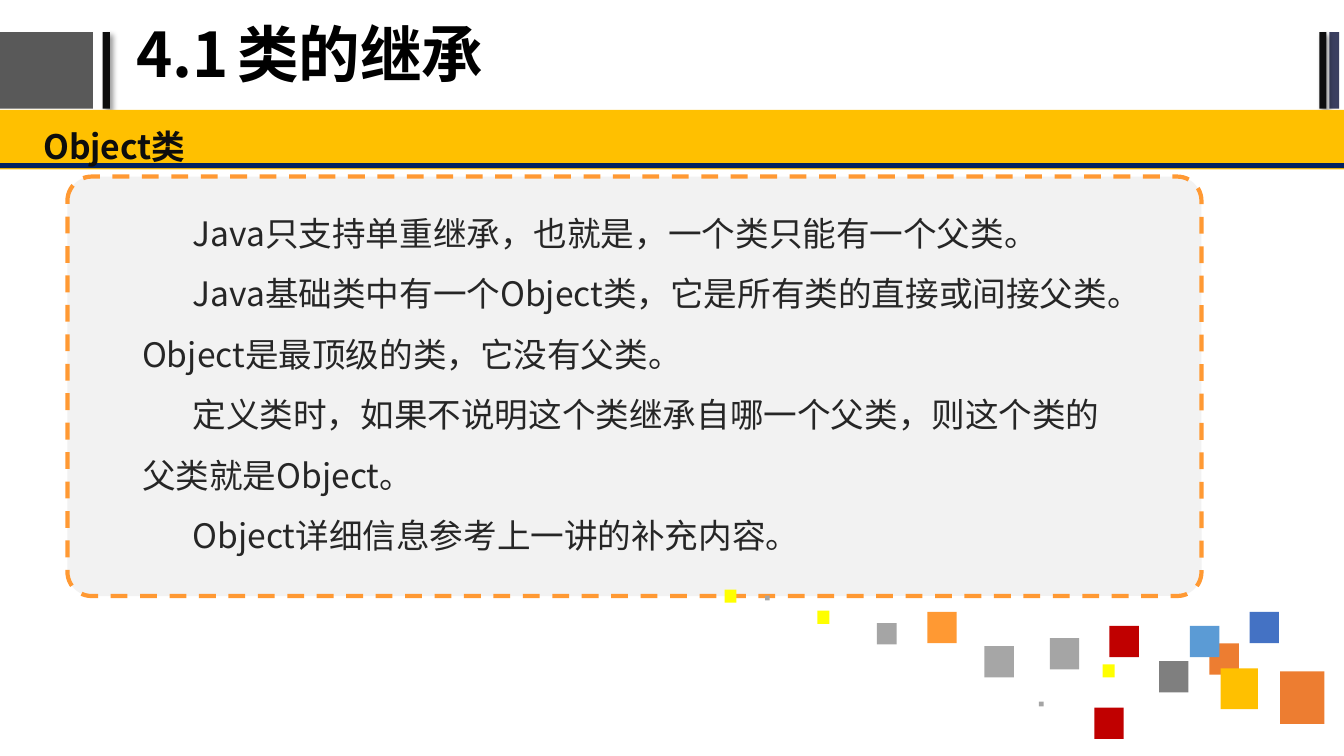
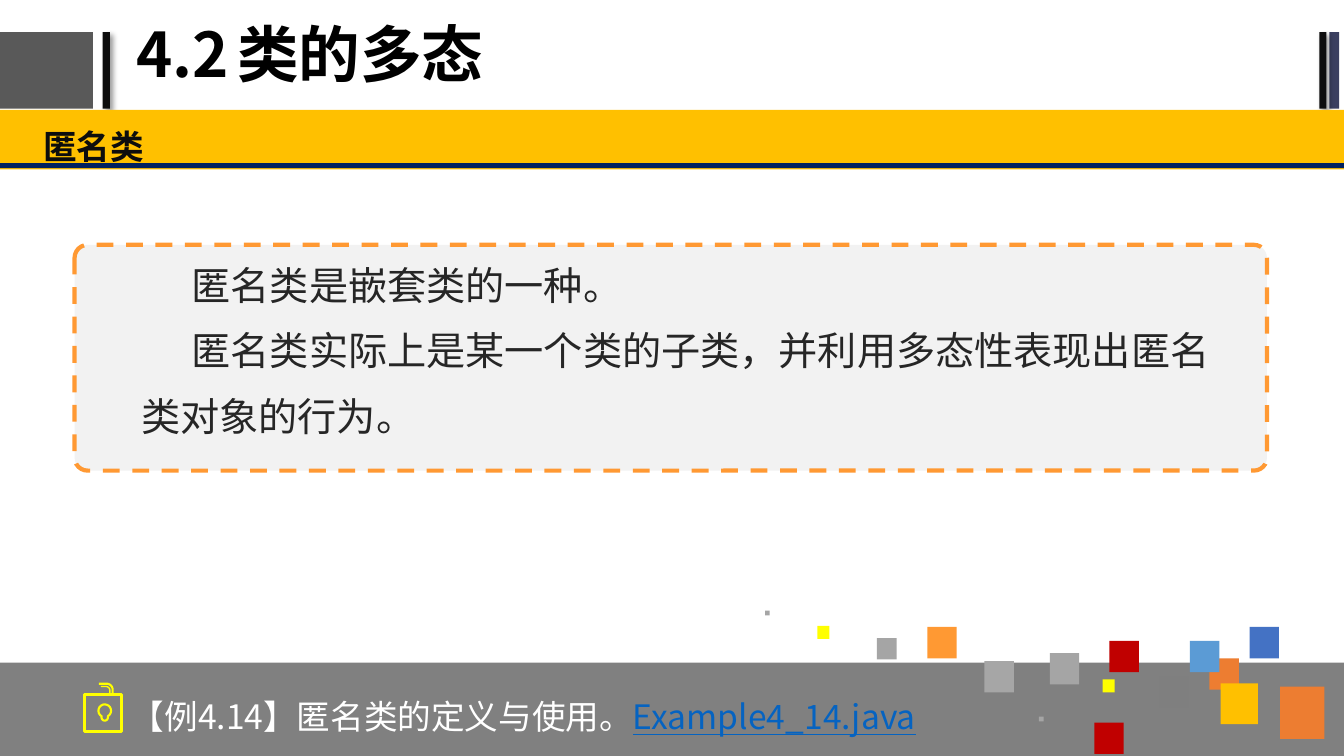
import math

from lxml import etree
from pptx import Presentation
from pptx.dml.color import RGBColor
from pptx.enum import dml, shapes, text
from pptx.oxml import ns
from pptx.util import Cm, Pt

FONT = "Noto Sans CJK SC"
WIDTH, HEIGHT = 33.87, 19.05
COLORS = {
    "black": "000000", "ink": "0D0D0D", "body": "262626", "white": "FFFFFF",
    "block": "595959", "slate": "3B3F60", "band": "FFC000", "navy": "002060",
    "panel": "F2F2F2", "orange": "FF9933", "footer": "808080", "link": "0563C1",
    "rust": "ED7D31", "sky": "5B9BD5", "blue": "4472C4", "yellow": "FFFF00",
    "silver": "A5A5A5", "ash": "A6A6A6", "gray": "7F7F7F", "red": "C00000",
}
SQUARE_SIZES = {
    "xl": (1.12, 1.32), "l": (0.94, 1.03), "m": (0.74, 0.79),
    "s": (0.5, 0.54), "xs": (0.3, 0.33), "dot": (0.12, 0.12),
}
SQUARES = [
    (14, 2.06, "xl", "rust"), (12.22, 1.35, "m", "rust"), (12.5, 1.98, "l", "band"),
    (11.73, 0.91, "m", "sky"), (7.92, 2.82, "dot", "silver"), (13.23, 0.56, "m", "blue"),
    (9.53, 1.88, "xs", "yellow"), (8.2, 1.22, "m", "silver"), (9.7, 0.91, "m", "red"),
    (10.95, 1.8, "m", "gray"), (9.32, 2.97, "m", "red"), (1.02, 0.15, "dot", "silver"),
    (2.34, 0.53, "xs", "yellow"), (3.84, 0.84, "s", "silver"), (5.11, 0.56, "m", "orange"),
    (6.55, 1.42, "m", "ash"),
]
LONE_SQUARE = (0, 0, "xs", "yellow")


def rgb(name):
    return RGBColor.from_string(COLORS[name])


def place(sp, box):
    sp.left, sp.top, sp.width, sp.height = (Cm(v) for v in box)


def add_box(slide, box, color, kind=shapes.MSO_SHAPE.RECTANGLE):
    sp = slide.shapes.add_shape(kind, *(Cm(v) for v in box))
    sp.shadow.inherit = False
    sp.fill.solid()
    sp.fill.fore_color.rgb = rgb(color)
    sp.line.fill.background()
    return sp


def add_shadow(sp):
    effects = sp.element.spPr.find(ns.qn("a:effectLst"))
    shadow = etree.SubElement(effects, ns.qn("a:outerShdw"), blurRad=str(Pt(4)),
                              dist=str(Pt(3)), dir="2700000", algn="tl")
    color = etree.SubElement(shadow, ns.qn("a:srgbClr"), val=COLORS["black"])
    etree.SubElement(color, ns.qn("a:alpha"), val="40000")


def add_run(p, words, size=24, color="body", bold=False, underline=False):
    r = p.add_run()
    r.text = words
    r.font.size = Pt(size)
    r.font.bold = bold
    r.font.underline = underline
    r.font.color.rgb = rgb(color)
    r.font.name = FONT
    etree.SubElement(r._r.get_or_add_rPr(), ns.qn("a:ea"), typeface=FONT)


def write(tf, paragraphs, spacing=1.2, indent=0, tab=None, **style):
    """Fill a frame; each paragraph is a list of (words, extra style) runs."""
    tf.word_wrap = True
    tf.auto_size = text.MSO_AUTO_SIZE.NONE
    for i, runs in enumerate(paragraphs):
        p = tf.add_paragraph() if i else tf.paragraphs[0]
        p.alignment = text.PP_ALIGN.LEFT
        p.line_spacing = spacing
        p.space_before = Pt(0)
        pPr = p._p.get_or_add_pPr()
        pPr.set("marL", "0")
        pPr.set("indent", str(Cm(indent)))
        etree.SubElement(pPr, ns.qn("a:buNone"))
        if tab:
            tabs = etree.SubElement(pPr, ns.qn("a:tabLst"))
            etree.SubElement(tabs, ns.qn("a:tab"), pos=str(Cm(tab)), algn="l")
        for words, extra in runs:
            add_run(p, words, **{**style, **extra})


def set_margins(tf):
    tf.margin_left = tf.margin_right = Cm(0.33)
    tf.margin_top = tf.margin_bottom = Cm(0.18)


def add_label(slide, box, runs, **style):
    tf = slide.shapes.add_textbox(*(Cm(v) for v in box)).text_frame
    set_margins(tf)
    write(tf, [runs], **style)


def decorate_layout(layout, slide):
    """Draw the shared header on a slide, then hand it over to the layout."""
    top, height = 0.81, 1.93
    bars = [(0, 2.34, "block"), (2.59, 0.18, "ink"),
            (33.5, 0.25, "slate"), (33.25, 0.18, "ink")]
    parts = []
    for left, width, color in bars:
        bar = add_box(slide, (left, top, width, height), color)
        if color == "ink":
            add_shadow(bar)
        parts.append(bar)
    parts.append(add_box(slide, (0, 2.77, WIDTH, 1.5), "band"))
    parts.append(add_box(slide, (0, 4.11, WIDTH, 0.13), "navy"))
    for sp in parts:
        layout.shapes.element.append(sp.element)


def add_header(slide, number, title, topic):
    sp = slide.shapes.title
    place(sp, (3.18, 0.05, 21.51, 2.79))
    sp.text_frame.vertical_anchor = text.MSO_ANCHOR.MIDDLE
    write(sp.text_frame, [[(f"{number}\t{title}", {})]], spacing=0.9, tab=3.4,
          size=44, color="black", bold=True)
    add_label(slide, (0.76, 2.79, 33.11, 1.47), [(topic, {})], color="ink", bold=True)


def add_panel(slide, box, text_box, paragraphs, **style):
    panel = add_box(slide, box, "panel", shapes.MSO_SHAPE.ROUNDED_RECTANGLE)
    panel.adjustments[0] = 0.058
    panel.line.color.rgb = rgb("orange")
    panel.line.width = Pt(3)
    panel.line.dash_style = dml.MSO_LINE.DASH
    body = slide.placeholders[1]
    body.element.addprevious(panel.element)
    left, top, width, height = text_box
    place(body, (box[0] + left, box[1] + top, width, height))
    body.text_frame.vertical_anchor = text.MSO_ANCHOR.TOP
    set_margins(body.text_frame)
    write(body.text_frame, [[(words, {})] for words in paragraphs], indent=1.27, **style)


def add_squares(slide, left, top, squares):
    for x, y, size, color in squares:
        add_box(slide, (left + x, top + y, *SQUARE_SIZES[size]), color)


def arc(x, y, radius, start, end, steps=16):
    angles = [math.radians(start + (end - start) * i / steps) for i in range(steps + 1)]
    return [(x + radius * math.cos(a), y + radius * math.sin(a)) for a in angles]


def add_lock(slide, left, top):
    frame = [(0.03, 0.31), (0.95, 0.31), (0.95, 1.24), (0.03, 1.24)]
    outer = [(0.38, 0.03), *arc(0.58, 0.18, 0.15, -90, 0), (0.73, 0.28)]
    inner = [(0.43, 0.1), *arc(0.56, 0.2, 0.1, -90, 0), (0.66, 0.28)]
    bulb = arc(0.53, 0.71, 0.16, 120, 420) + arc(0.53, 0.88, 0.08, 0, 180)
    strokes = [(frame, True, 2), (outer, False, 1.5), (inner, False, 1), (bulb, True, 1.5)]
    for points, closed, width in strokes:
        points = [(Cm(left + x), Cm(top + y)) for x, y in points]
        builder = slide.shapes.build_freeform(*points[0])
        builder.add_line_segments(points[1:], close=closed)
        sp = builder.convert_to_shape()
        sp.shadow.inherit = False
        sp.fill.background()
        sp.line.color.rgb = rgb("yellow")
        sp.line.width = Pt(width)


def add_example(slide, top, caption, file_name):
    add_lock(slide, 2.11, top + 0.5)
    add_label(slide, (2.97, top + 0.45, 28.35, 1.9),
              [(caption, {}), (file_name, {"color": "link", "underline": True})],
              color="white")


def inheritance_slide(slide):
    add_header(slide, "4.1", "类的继承", "Object类")
    add_panel(slide, (1.7, 4.45, 28.58, 10.57), (1.55, 0.22, 25.12, 11), [
        "Java只支持单重继承，也就是，一个类只能有一个父类。",
        "Java基础类中有一个Object类，它是所有类的直接或间接父类。Object是最顶级的类，它没有父类。",
        "定义类时，如果不说明这个类继承自哪一个父类，则这个类的父类就是Object。",
        "Object详细信息参考上一讲的补充内容。",
    ], spacing=1.5)
    add_squares(slide, 18.26, 14.86, SQUARES + [LONE_SQUARE])


def polymorphism_slide(slide):
    footer_top = 16.7
    add_box(slide, (0, footer_top, WIDTH, HEIGHT - footer_top), "footer")
    add_header(slide, "4.2", "类的多态", "匿名类")
    add_panel(slide, (1.88, 6.17, 30.05, 5.69), (1.35, -0.25, 27.89, 5.69), [
        "匿名类是嵌套类的一种。",
        "匿名类实际上是某一个类的子类，并利用多态性表现出匿名类对象的行为。",
    ], spacing=1.4, size=28)
    add_squares(slide, 18.26, 15.24, SQUARES)
    add_example(slide, footer_top, "【例4.14】匿名类的定义与使用。", "Example4_14.java")


def main():
    prs = Presentation()
    prs.slide_width, prs.slide_height = Cm(WIDTH), Cm(HEIGHT)
    layout = prs.slide_layouts[1]
    first, second = (prs.slides.add_slide(layout) for _ in range(2))
    decorate_layout(layout, first)
    inheritance_slide(first)
    polymorphism_slide(second)
    prs.save("out.pptx")


if __name__ == "__main__":
    main()
